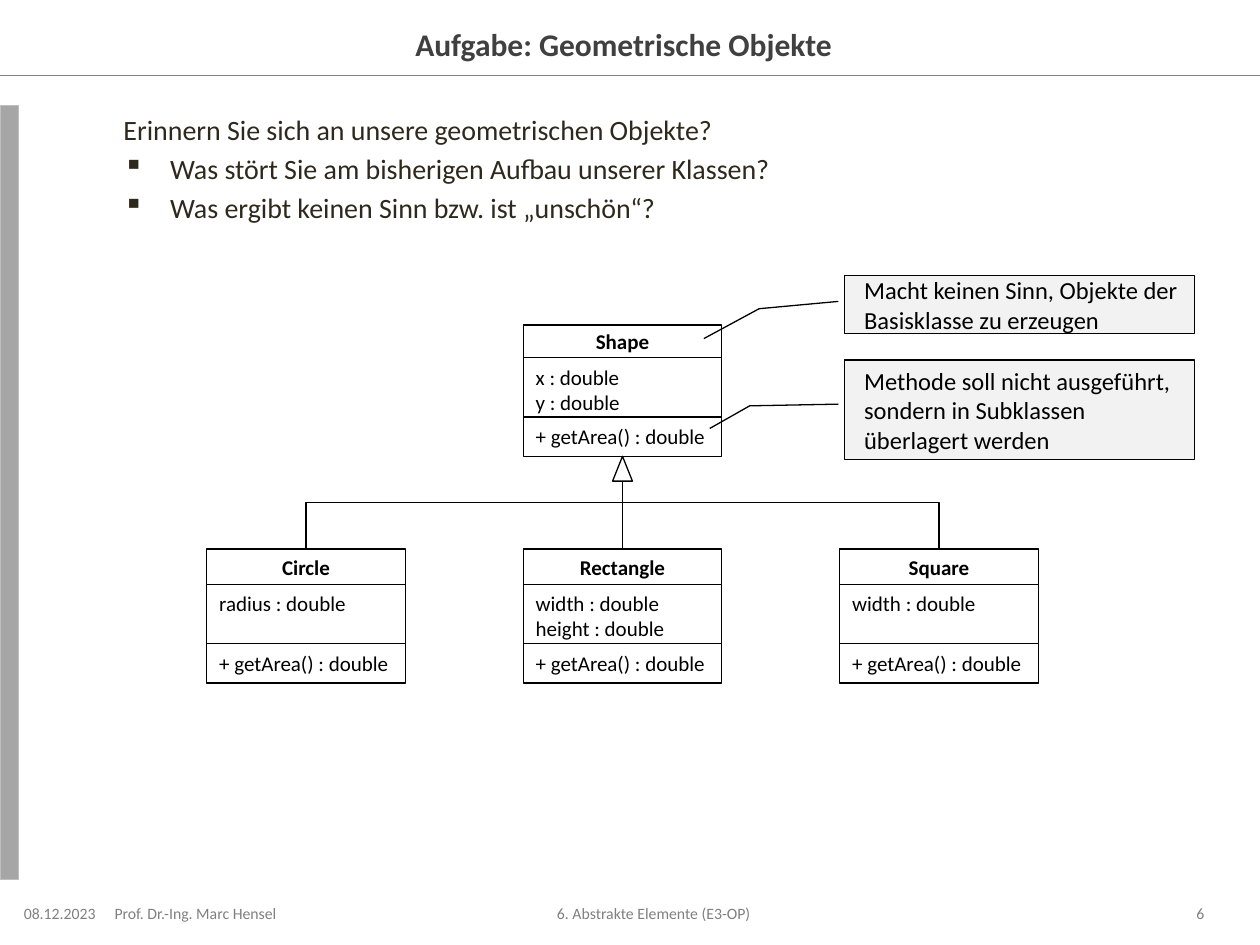
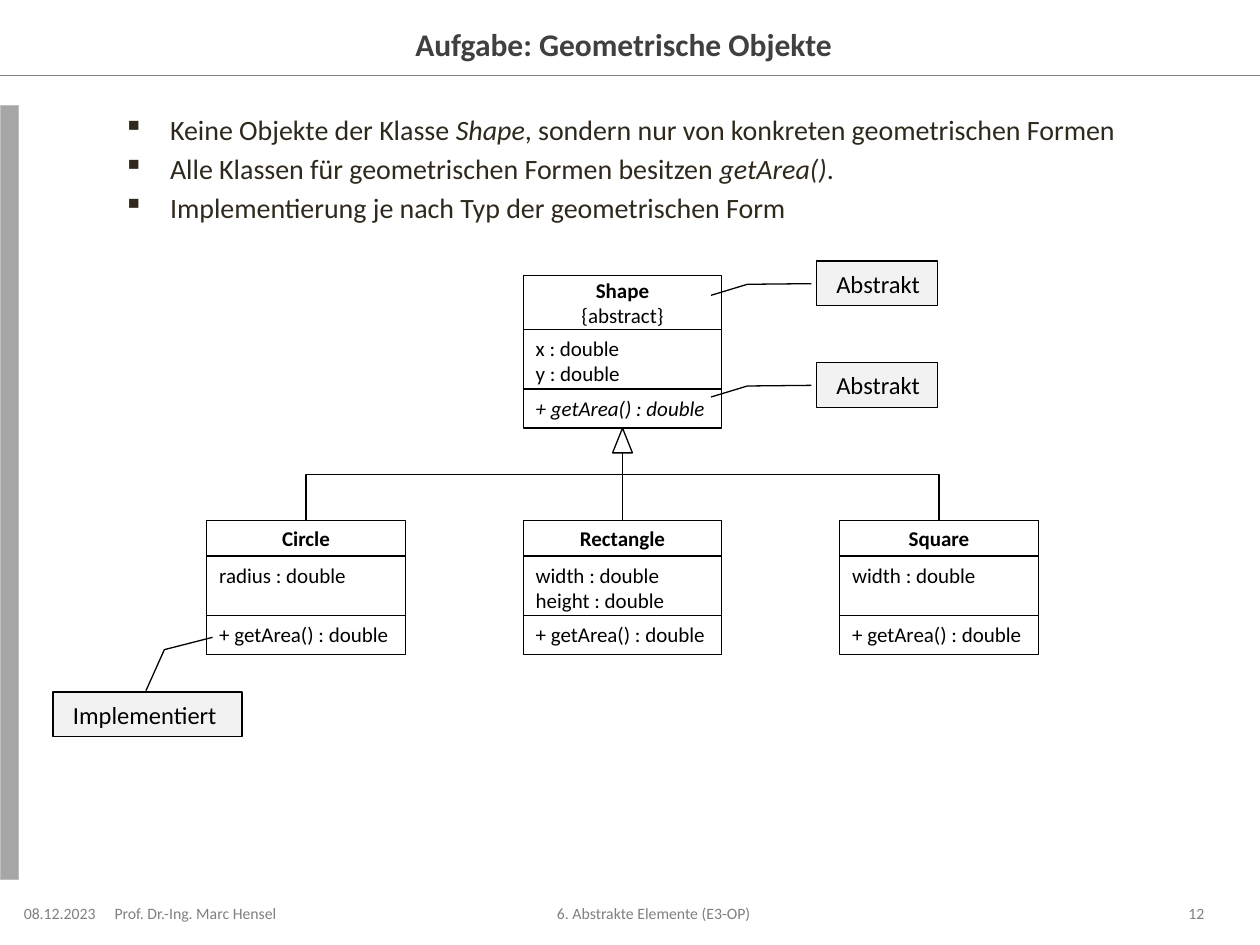
import pptx
import pptx.dml.color
import pptx.enum.shapes
import pptx.enum.text
import pptx.oxml
import pptx.oxml.ns
import pptx.shapes.connector
import pptx.util

Cm = pptx.util.Cm
Pt = pptx.util.Pt
SHAPE = pptx.enum.shapes.MSO_SHAPE
CONNECTOR = pptx.enum.shapes.MSO_CONNECTOR
ALIGN = pptx.enum.text.PP_ALIGN
ANCHOR = pptx.enum.text.MSO_ANCHOR
qn = pptx.oxml.ns.qn

FONT = "Calibri"
BLACK, WHITE, GREY = "000000", "FFFFFF", "808080"
BAR, BAR_EDGE, CALLOUT = "A6A6A6", "BFBFBF", "F2F2F2"
TITLE_COLOUR, BODY_COLOUR = "404040", "2F291D"
PLAIN_INSETS = (0, 0.13, 0.25, 0.13)
BOX_INSETS = (0.25, 0.13, 0.25, 0.13)
CALLOUT_INSETS = (0.4, 0.13, 0.2, 0.13)

CLASS_WIDTH = 4
CLASS_LEFTS = [4.17 + 6.38 * column for column in range(3)]
CENTRES = [left + CLASS_WIDTH / 2 for left in CLASS_LEFTS]
HEADER_HEIGHT, FIELDS_HEIGHT, METHOD_HEIGHT = 0.71, 1.2, 0.79
INHERITANCE_GAP = 1.87
METHOD = "+ getArea() : double"
SUBCLASSES = [
    ("Circle", "radius : double"),
    ("Rectangle", "width : double\nheight : double"),
    ("Square", "width : double"),
]
ABSTRACT_POINTER = (0.511, -0.042, 0.525, -0.571, 0.772, -0.871)

SLIDES = [
    {
        "number": "6",
        "lines": [
            "Erinnern Sie sich an unsere geometrischen Objekte?",
            "Was stört Sie am bisherigen Aufbau unserer Klassen?",
            "Was ergibt keinen Sinn bzw. ist „unschön“?",
        ],
        "first_bullet": 1,
        "base": ("Shape", METHOD, 6.55, 0.66),
        "callouts": [
            ("Macht keinen Sinn, Objekte der Basisklasse zu erzeugen",
             (17.02, 5.56, 7.06, 1.17), (0.442, -0.017, 0.568, -0.243, 1.083, -0.401)),
            ("Methode soll nicht ausgeführt, sondern in Subklassen überlagert werden",
             (17.02, 7.26, 7.06, 2.01), (0.442, -0.017, 0.459, -0.27, 0.686, -0.384)),
        ],
    },
    {
        "number": "12",
        "lines": [
            "Keine Objekte der Klasse *Shape*, sondern nur von konkreten geometrischen Formen",
            "Alle Klassen für geometrischen Formen besitzen *getArea()*.",
            "Implementierung je nach Typ der geometrischen Form",
        ],
        "first_bullet": 0,
        "base": ("Shape\n{abstract}", f"*{METHOD}*", 5.56, 1.08),
        "callouts": [
            ("Abstrakt", (16.46, 7.31, 2.44, 0.9), ABSTRACT_POINTER),
            ("Implementiert", (1.07, 13.95, 3.81, 0.9),
             (-0.029, 0.492, -0.948, 0.589, -1.224, 0.844)),
            ("Abstrakt", (16.46, 5.26, 2.44, 0.9), ABSTRACT_POINTER),
        ],
    },
]


def paint(fill, colour):
    fill.solid()
    fill.fore_color.rgb = pptx.dml.color.RGBColor.from_string(colour)


def write(box, text, size=12, colour=BLACK, bold=False, align=ALIGN.LEFT,
          anchor=ANCHOR.MIDDLE, insets=BOX_INSETS, space_before=0):
    frame = box.text_frame
    frame.word_wrap = True
    frame.auto_size = pptx.enum.text.MSO_AUTO_SIZE.NONE
    frame.vertical_anchor = anchor
    frame.margin_left, frame.margin_top, frame.margin_right, frame.margin_bottom = map(Cm, insets)
    for row, line in enumerate(text.split("\n")):
        para = frame.add_paragraph() if row else frame.paragraphs[0]
        para.alignment = align
        para.space_before = Pt(space_before)
        for part, words in enumerate(line.split("*")):
            if words:
                span = para.add_run()
                span.text = words
                span.font.name = FONT
                span.font.size = Pt(size)
                span.font.bold = bold and row == 0
                span.font.italic = part % 2 == 1
                paint(span.font.fill, colour)


deck = pptx.Presentation()
deck.slide_width, deck.slide_height = Cm(25.4), Cm(19.05)

for content in SLIDES:
    page = deck.slides.add_slide(deck.slide_layouts[5])
    shapes = page.shapes

    title = shapes.title
    title.left, title.top, title.width, title.height = map(Cm, (3.15, 0.38, 19.1, 0.99))
    write(title, "Aufgabe: Geometrische Objekte", size=18, colour=TITLE_COLOUR, bold=True,
          align=ALIGN.CENTER, insets=PLAIN_INSETS)

    title_rule = shapes.add_connector(CONNECTOR.STRAIGHT, 0, Cm(1.52), Cm(25.4), Cm(1.52))
    paint(title_rule.line.fill, GREY)
    side_bar = shapes.add_shape(SHAPE.RECTANGLE, 0, Cm(2.13), Cm(0.38), Cm(15.6))
    paint(side_bar.fill, BAR)
    paint(side_bar.line.fill, BAR_EDGE)

    for text, left, width, align, insets in [
        ("08.12.2023", 0.38, 1.9, ALIGN.CENTER, PLAIN_INSETS),
        ("Prof. Dr.-Ing. Marc Hensel", 2.31, 3.81, ALIGN.LEFT, PLAIN_INSETS),
        ("6. Abstrakte Elemente (E3-OP)", 6.3, 14, ALIGN.CENTER, PLAIN_INSETS),
        (content["number"], 22.66, 1.62, ALIGN.RIGHT, (0.25, 0.13, 0, 0.13)),
    ]:
        footer = shapes.add_textbox(Cm(left), Cm(18.23), Cm(width), Cm(0.38))
        write(footer, text, size=9, colour=GREY, align=align, insets=insets)

    body = shapes.add_textbox(Cm(2.31), Cm(2.13), Cm(22), Cm(15.6))
    write(body, "\n".join(content["lines"]), size=16, colour=BODY_COLOUR,
          anchor=ANCHOR.TOP, insets=PLAIN_INSETS, space_before=3.2)
    for row, para in enumerate(body.text_frame.paragraphs):
        properties = para._p.get_or_add_pPr()
        properties.set("marL", str(Cm(1.12)))
        properties.set("indent", str(Cm(-0.94)))
        if row >= content["first_bullet"]:
            bullet = pptx.oxml.parse_xml(
                f'<a:buChar {pptx.oxml.ns.nsdecls("a")} char="▪"/>')
            properties.append(bullet)

    base_name, base_method, base_top, base_header = content["base"]
    base_bottom = base_top + base_header + FIELDS_HEIGHT + METHOD_HEIGHT
    subclass_top = base_bottom + INHERITANCE_GAP

    middle_y = (base_bottom + subclass_top) / 2
    for centre, turn in zip(CENTRES, (90, 0, 270)):
        if turn:
            middle_x = (centre + CENTRES[1]) / 2
            half_span = abs(centre - CENTRES[1]) / 2
            half_gap = INHERITANCE_GAP / 2 if turn == 90 else -INHERITANCE_GAP / 2
            branch = shapes.add_connector(
                CONNECTOR.ELBOW, Cm(middle_x + half_gap), Cm(middle_y + half_span),
                Cm(middle_x - half_gap), Cm(middle_y - half_span))
            branch._element.spPr.find(qn("a:xfrm")).set("rot", str(turn * 60000))
        else:
            branch = shapes.add_connector(
                CONNECTOR.STRAIGHT, Cm(centre), Cm(subclass_top), Cm(centre), Cm(base_bottom))
        paint(branch.line.fill, BLACK)

    classes = [(base_name, "x : double\ny : double", base_method,
                CLASS_LEFTS[1], base_top, base_header)]
    for (name, fields), left in zip(SUBCLASSES, CLASS_LEFTS):
        classes.append((name, fields, METHOD, left, subclass_top, HEADER_HEIGHT))
    for name, fields, method, left, top, header_height in classes:
        for text, height in [(name, header_height), (fields, FIELDS_HEIGHT),
                             (method, METHOD_HEIGHT)]:
            is_name = text == name
            box = shapes.add_shape(SHAPE.RECTANGLE, Cm(left), Cm(top), Cm(CLASS_WIDTH), Cm(height))
            paint(box.fill, WHITE)
            paint(box.line.fill, BLACK)
            write(box, text, bold=is_name,
                  align=ALIGN.CENTER if is_name else ALIGN.LEFT,
                  anchor=ANCHOR.MIDDLE if is_name else ANCHOR.TOP)
            top += height

    arrowhead = shapes.add_shape(SHAPE.ISOSCELES_TRIANGLE, Cm(CENTRES[1] - 0.2),
                                 Cm(base_bottom), Cm(0.4), Cm(0.5))
    paint(arrowhead.fill, WHITE)
    paint(arrowhead.line.fill, BLACK)

    for text, place, pointer in content["callouts"]:
        callout = shapes.add_shape(SHAPE.LINE_CALLOUT_2, *map(Cm, place))
        for index, value in enumerate(pointer):
            callout.adjustments[index] = value
        paint(callout.fill, CALLOUT)
        paint(callout.line.fill, BLACK)
        write(callout, text, size=14, insets=CALLOUT_INSETS)

    for shape in shapes:
        if isinstance(shape, pptx.shapes.connector.Connector):
            shape.line.width = Pt(0.75)
            shape._element.spPr.append(pptx.oxml.parse_xml(
                f'<a:effectLst {pptx.oxml.ns.nsdecls("a")}/>'))
        elif shape.shape_type == pptx.enum.shapes.MSO_SHAPE_TYPE.AUTO_SHAPE:
            shape.line.width = Pt(0.75)
            shape.shadow.inherit = False

deck.save("out.pptx")
